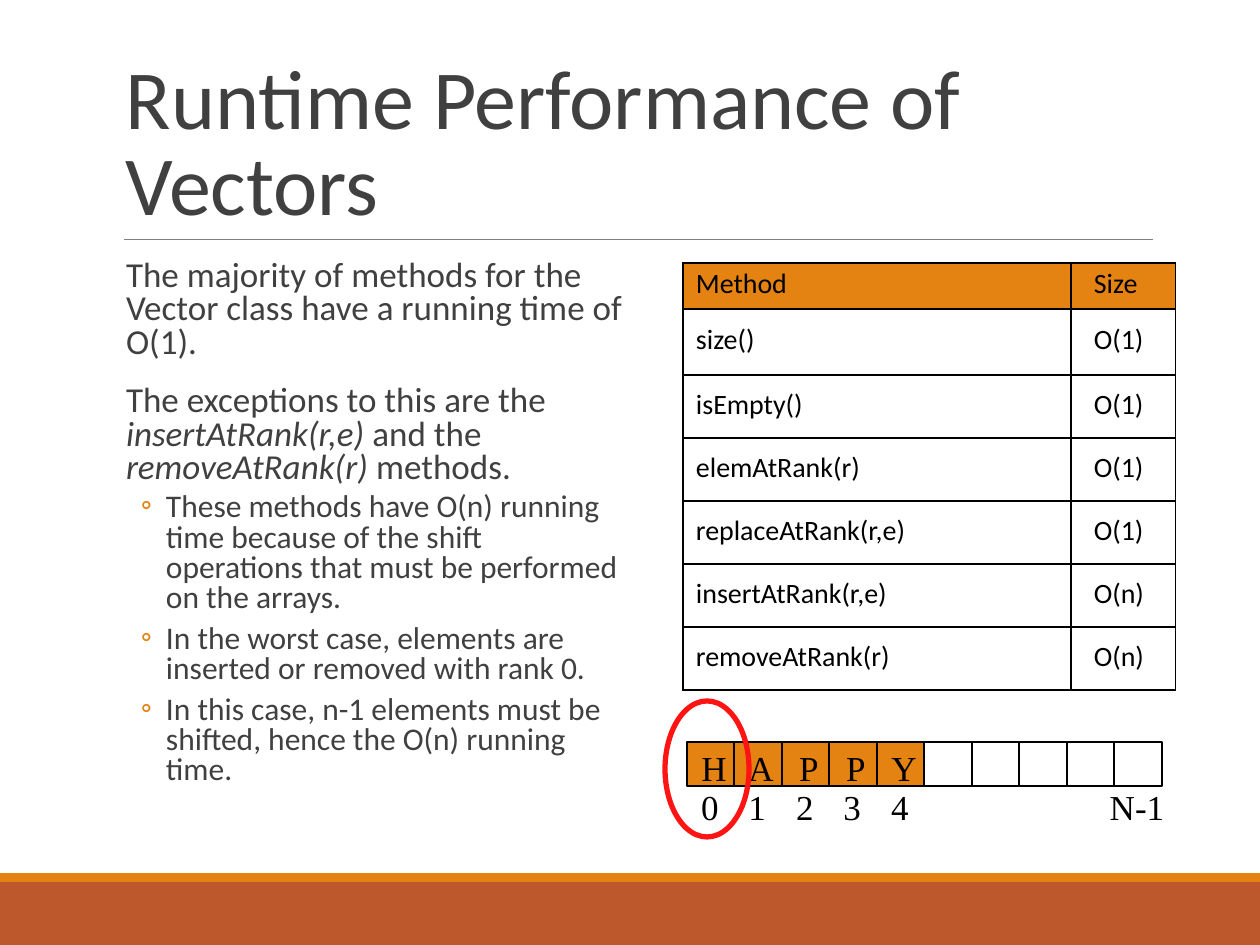
from lxml import etree
from pptx import Presentation
from pptx.dml.color import RGBColor
from pptx.enum import shapes, text
from pptx.oxml import parse_xml
from pptx.oxml.ns import qn
from pptx.util import Pt

PX = 914400 / 126
NS = 'xmlns:a="http://schemas.openxmlformats.org/drawingml/2006/main"'
COLORS = {"rust": "BD582C", "orange": "E48312", "rule": "7F7F7F", "text": "404040",
          "black": "000000", "white": "FFFFFF", "red": "FF1414"}


def px(*lengths):
    return [round(length * PX) for length in lengths]


def add_box(kind, box, fill=None, line=None, width=0.75):
    shape = slide.shapes.add_shape(kind, *px(*box))
    shape.shadow.inherit = False
    if fill:
        shape.fill.solid()
        shape.fill.fore_color.rgb = RGBColor.from_string(COLORS[fill])
    else:
        shape.fill.background()
    if line:
        shape.line.color.rgb = RGBColor.from_string(COLORS[line])
        shape.line.width = Pt(width)
    else:
        shape.line.fill.background()
    return shape


prs = Presentation()
prs.slide_width, prs.slide_height = px(1260, 945)
slide = prs.slides.add_slide(prs.slide_layouts[1])
RECT = shapes.MSO_SHAPE.RECTANGLE

# Footer bands and the rule under the title
add_box(RECT, (0, 882, 1260, 63), "rust")
add_box(RECT, (0, 873, 1260, 9), "orange")
rule = slide.shapes.add_connector(shapes.MSO_CONNECTOR.STRAIGHT, *px(124, 239, 1153, 239))
rule.line.color.rgb = RGBColor.from_string(COLORS["rule"])
rule.line.width = Pt(0.5)
etree.SubElement(rule._element.spPr, qn("a:effectLst"))

# Title
title = slide.shapes.title
title.left, title.top, title.width, title.height = px(113, 39, 1040, 200)
title.text_frame.text = "Runtime Performance of Vectors"
title.text_frame.auto_size = text.MSO_AUTO_SIZE.NONE
title.text_frame.vertical_anchor = text.MSO_ANCHOR.BOTTOM
heading = title.text_frame.paragraphs[0]
heading.alignment = text.PP_ALIGN.LEFT
heading.line_spacing = 0.85
heading.font.size = Pt(48)
heading.font.name = "Calibri"
heading.font.color.rgb = RGBColor.from_string(COLORS["text"])

# Explanation: level and runs, every second run in italics
explanation = [
    (0, ["The majority of methods for the Vector class have a running time of O(1)."]),
    (0, ["The exceptions to this are the ", "insertAtRank(r,e) ", "and the ",
         "removeAtRank(r) ", "methods."]),
    (1, ["These methods have O(n) running time because of the shift operations "
         "that must be performed on the arrays."]),
    (1, ["In the worst case, elements are inserted or removed with rank 0."]),
    (1, ["In this case, n-1 elements must be shifted, hence the O(n) running time."]),
]
# Per level: left margin, hanging indent, bullet, space before, space after, size
levels = [(13, 13, " ", 12, 2, 20), (53, 25, "◦", 2, 4, 18)]
body = slide.placeholders[1]
body.left, body.top, body.width, body.height = px(113, 254, 510, 554)
frame = body.text_frame
frame.auto_size = text.MSO_AUTO_SIZE.NONE
frame.margin_left = frame.margin_right = 0
for i, (level, runs) in enumerate(explanation):
    margin, hanging, bullet, before, after, size = levels[level]
    paragraph = frame.add_paragraph() if i else frame.paragraphs[0]
    paragraph.level = level
    paragraph.line_spacing = 0.8
    paragraph.space_before = Pt(before if i else 0)
    paragraph.space_after = Pt(after)
    props = paragraph._p.get_or_add_pPr()
    props.set("marL", str(px(margin)[0]))
    props.set("indent", str(px(-hanging)[0]))
    props.append(parse_xml(f'<a:buClr {NS}><a:srgbClr val="{COLORS["orange"]}"/></a:buClr>'))
    props.append(parse_xml(f'<a:buFont {NS} typeface="Calibri"/>'))
    props.append(parse_xml(f'<a:buChar {NS} char="{bullet}"/>'))
    for j, words in enumerate(runs):
        run = paragraph.add_run()
        run.text = words
        run.font.size = Pt(size)
        run.font.name = "Calibri"
        run.font.italic = j % 2 == 1
        run.font.color.rgb = RGBColor.from_string(COLORS["text"])

# Running times
running_times = [("Method", "Size"), ("size()", "O(1)"), ("isEmpty()", "O(1)"),
                 ("elemAtRank(r)", "O(1)"), ("replaceAtRank(r,e)", "O(1)"),
                 ("insertAtRank(r,e)", "O(n)"), ("removeAtRank(r)", "O(n)")]
row_heights = [46, 66] + [63] * 5
table = slide.shapes.add_table(7, 2, *px(683, 263, 493, sum(row_heights))).table
table.horz_banding = False
table.columns[0].width, table.columns[1].width = px(388, 105)
for r, row in enumerate(running_times):
    table.rows[r].height = px(row_heights[r])[0]
    for c, entry in enumerate(row):
        cell = table.cell(r, c)
        cell.text = entry
        cell.vertical_anchor = text.MSO_ANCHOR.MIDDLE
        cell.margin_left = px((13, 23)[c])[0]
        cell.margin_top = cell.margin_right = 0
        cell.margin_bottom = px(4)[0]
        for side in ("lnL", "lnR", "lnT", "lnB"):
            cell._tc.get_or_add_tcPr().append(parse_xml(
                f'<a:{side} {NS} w="9525"><a:solidFill><a:srgbClr val="{COLORS["black"]}"/>'
                f'</a:solidFill></a:{side}>'))
        cell.fill.solid()
        cell.fill.fore_color.rgb = RGBColor.from_string(COLORS["white" if r else "orange"])
        font = cell.text_frame.paragraphs[0].font
        font.size = Pt(16)
        font.name = "Calibri"
        font.bold = False
        font.color.rgb = RGBColor.from_string(COLORS["black"])

# Array cells with their letters, and the ranks below in wider centred boxes
letters = list("HAPPY") + [""] * 5
ranks = ["0", "1", "2", "3", "4", "", "", "", "", "N-1"]
for i, (letter, rank) in enumerate(zip(letters, ranks)):
    left = 687 + i * 475 // 10
    slot = add_box(RECT, (left, 742, 48, 44), "orange" if letter else "white", "black")
    labels = [(slot, letter, 6)] if letter else []
    if rank:
        labels.append((slide.shapes.add_textbox(*px(left - 18, 788, 82, 38)), rank, 0))
    for holder, label, shift in labels:
        frame = holder.text_frame
        frame.text = label
        frame.word_wrap = True
        frame.vertical_anchor = text.MSO_ANCHOR.MIDDLE
        frame.margin_left, frame.margin_top = px(shift, shift)
        frame.margin_right = frame.margin_bottom = 0
        paragraph = frame.paragraphs[0]
        paragraph.alignment = text.PP_ALIGN.CENTER
        paragraph.font.size = Pt(20)
        paragraph.font.name = "Times New Roman"
        paragraph.font.color.rgb = RGBColor.from_string(COLORS["black"])

# Ring around rank 0
add_box(shapes.MSO_SHAPE.OVAL, (665, 701, 84, 136), line="red", width=3)

prs.save("out.pptx")
